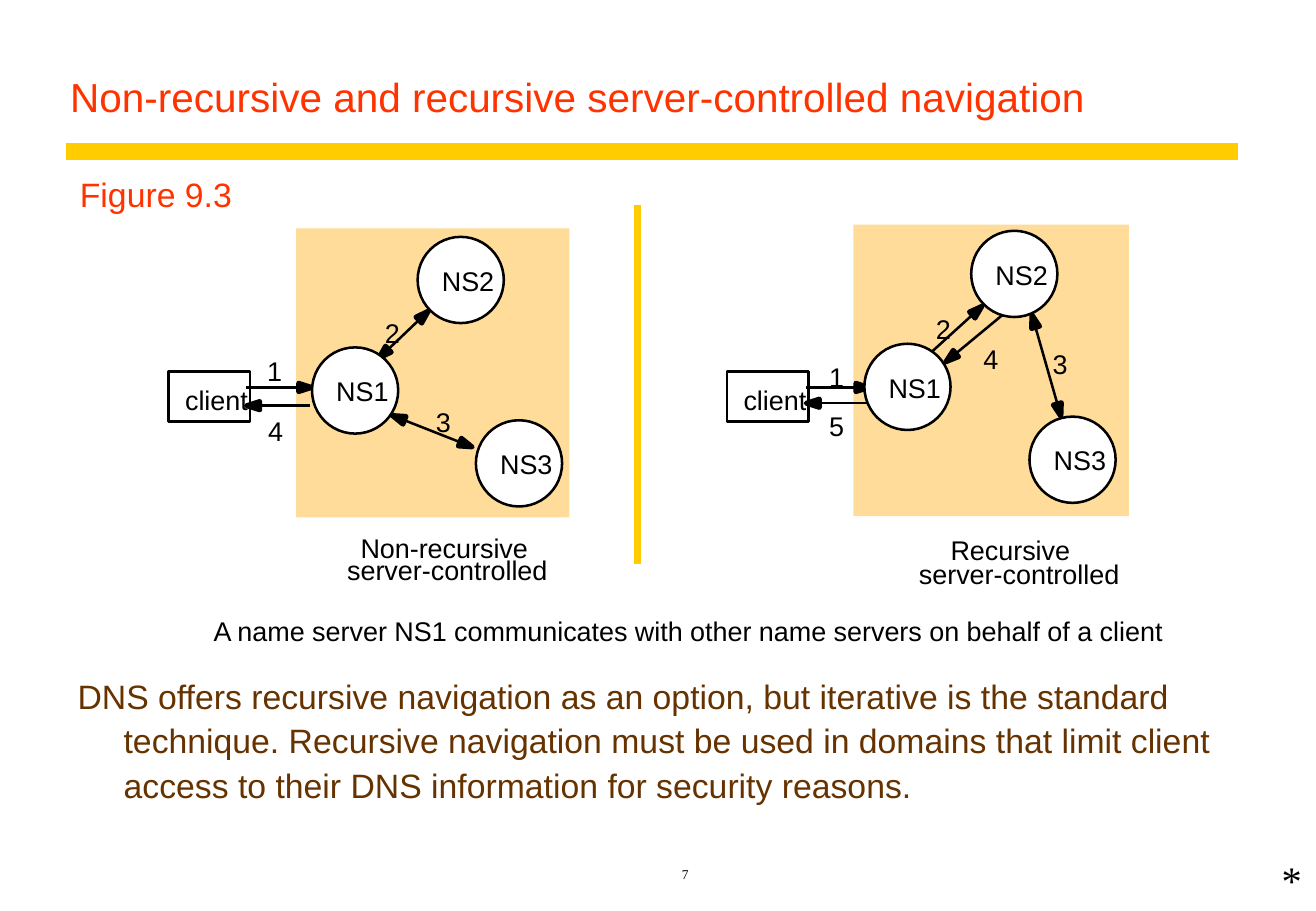
"""Build the slide on non-recursive and recursive server-controlled navigation."""
from dataclasses import dataclass
from math import hypot

from lxml import etree
from pptx import Presentation
from pptx.dml.color import RGBColor
from pptx.enum.shapes import MSO_CONNECTOR, MSO_SHAPE
from pptx.enum.text import MSO_ANCHOR, MSO_AUTO_SIZE, PP_ALIGN
from pptx.oxml.ns import qn
from pptx.util import Inches, Pt

RECT, OVAL = MSO_SHAPE.RECTANGLE, MSO_SHAPE.OVAL
STRAIGHT = MSO_CONNECTOR.STRAIGHT
TOP, BOTTOM = MSO_ANCHOR.TOP, MSO_ANCHOR.BOTTOM
LEFT, CENTER = PP_ALIGN.LEFT, PP_ALIGN.CENTER
GROW, FIXED = MSO_AUTO_SIZE.SHAPE_TO_FIT_TEXT, MSO_AUTO_SIZE.NONE

Point = tuple[float, float]
Box = tuple[float, float, float, float]


@dataclass(frozen=True)
class Theme:
    """Colours, fonts, type sizes and line widths."""
    sans: str = "Arial"
    serif: str = "Times New Roman"
    black: str = "000000"
    white: str = "FFFFFF"
    red: str = "FF3300"
    brown: str = "663300"
    gold: str = "FFCC00"
    sand: str = "FFDC99"
    title: float = 24
    body: float = 20
    label: float = 16
    number: float = 8
    bar: float = 10
    divider: float = 4.5
    outline: float = 1.5
    head: float = 2.86


@dataclass(frozen=True)
class Label:
    """Text with its left, top and width in grid cells."""
    text: str
    x: float
    y: float
    w: float = 1.3


@dataclass(frozen=True)
class Arrow:
    """Line between two points, pointed at its end and optionally at its start."""
    start: Point
    end: Point
    both: bool = False


@dataclass(frozen=True)
class Panel:
    """One navigation diagram."""
    area: Box
    client: Point
    nodes: dict[str, Point]
    arrows: list[Arrow]
    labels: list[Label]


T = Theme()
COLS, ROWS = 108.4, 75
NODE, LABEL_H = 7.1, 2.7
CLIENT_W, CLIENT_H = 6.7, 4.1
HEAD_LEN, HEAD_HALF = 1.1, 0.35

PANELS = [
    Panel(
        (24.4, 18.8, 22.5, 23.8), (13.9, 30.6),
        {"NS2": (34.4, 19.5), "NS1": (25.7, 28.6), "NS3": (39.2, 34.6)},
        [Arrow((20.3, 31.9), (25.7, 31.9)),
         Arrow((31.2, 29.5), (35.3, 25.6), both=True),
         Arrow((32.3, 34.2), (38.9, 36.8), both=True),
         Arrow((25.5, 33.4), (20.3, 33.4))],
        [Label("1", 22, 29.2), Label("2", 31.7, 26.1),
         Label("3", 35.9, 33.4), Label("4", 22.1, 34.1),
         Label("Non-recursive", 29.7, 43.8, 14),
         Label("server-controlled", 28.6, 45.6, 17)]),
    Panel(
        (70.3, 18.5, 22.7, 24), (59.9, 30.6),
        {"NS2": (80, 19), "NS1": (71.2, 28.3), "NS3": (84.8, 34.3)},
        [Arrow((66.4, 31.9), (71.6, 31.9)),
         Arrow((76.6, 29.1), (80.9, 25.2)),
         Arrow((85, 25.9), (87.4, 34.3), both=True),
         Arrow((83.1, 25.5), (77.9, 29.8)),
         Arrow((71.6, 33.2), (66.4, 33.2))],
        [Label("1", 68.3, 29.7), Label("2", 77.1, 25.7),
         Label("3", 86.7, 28.6), Label("4", 81, 28.2),
         Label("5", 68.3, 33.7),
         Label("Recursive", 78.3, 43.9, 10.1),
         Label("server-controlled", 75.7, 45.9, 17)]),
]

prs = Presentation()
prs.slide_width, prs.slide_height = Inches(10.84), Inches(7.5)
slide = prs.slides.add_slide(prs.slide_layouts[6])


def emu(*cells: float) -> list[int]:
    """Turn alternating column and row counts into lengths."""
    units = prs.slide_width / COLS, prs.slide_height / ROWS
    return [round(c * units[i % 2]) for i, c in enumerate(cells)]


def add_text(text: str, box: Box, *, size: float = T.label, font: str = T.sans,
             color: str = T.black, pad: bool = False, wrap: bool = False,
             anchor: MSO_ANCHOR = TOP, align: PP_ALIGN = LEFT,
             spacing: float = 1.0, hanging: float = 0) -> None:
    """Place one paragraph of text in a box."""
    tf = slide.shapes.add_textbox(*emu(*box)).text_frame
    tf.word_wrap, tf.vertical_anchor = wrap, anchor
    tf.auto_size = FIXED if wrap else GROW
    tf.margin_left = tf.margin_right = Inches(0.1 if pad else 0)
    tf.margin_top = tf.margin_bottom = Inches(0.05 if pad else 0)
    p = tf.paragraphs[0]
    p.alignment, p.line_spacing = align, spacing
    if hanging:
        indent = emu(hanging)[0]
        pPr = p._p.get_or_add_pPr()
        pPr.set("marL", str(indent))
        pPr.set("indent", str(-indent))
    r = p.add_run()
    r.text = text
    r.font.size, r.font.name = Pt(size), font
    r.font.color.rgb = RGBColor.from_string(color)


def paint(sp, fill: str | None, line: str | None, width: float = T.outline) -> None:
    """Set a shape's fill and outline and drop its shadow."""
    sp.shadow.inherit = False
    if fill:
        sp.fill.solid()
        sp.fill.fore_color.rgb = RGBColor.from_string(fill)
    else:
        sp.fill.background()
    if line:
        sp.line.color.rgb = RGBColor.from_string(line)
        sp.line.width = Pt(width)
    else:
        sp.line.fill.background()


def add_box(kind: MSO_SHAPE, box: Box, fill: str | None, line: str | None) -> None:
    """Draw a preset shape."""
    paint(slide.shapes.add_shape(kind, *emu(*box)), fill, line)


def add_line(start: Point, end: Point, color: str, width: float) -> None:
    """Draw a straight line."""
    cx = slide.shapes.add_connector(STRAIGHT, *emu(*start, *end))
    cx.line.color.rgb = RGBColor.from_string(color)
    cx.line.width = Pt(width)
    etree.SubElement(cx._element.spPr, qn("a:effectLst"))


def add_head(tip: Point, tail: Point) -> Point:
    """Draw an arrowhead at the tip and return the middle of its base."""
    dx, dy = tip[0] - tail[0], tip[1] - tail[1]
    n = hypot(dx, dy)
    ux, uy = dx / n, dy / n
    bx, by = tip[0] - HEAD_LEN * ux, tip[1] - HEAD_LEN * uy
    sides = [(bx - s * HEAD_HALF * uy, by + s * HEAD_HALF * ux) for s in (1, -1)]
    builder = slide.shapes.build_freeform(*emu(*tip))
    builder.add_line_segments([tuple(emu(*side)) for side in sides])
    paint(builder.convert_to_shape(), T.black, T.black, T.head)
    return bx, by


def add_arrow(arrow: Arrow) -> None:
    """Draw an arrow with its heads."""
    end = add_head(arrow.end, arrow.start)
    start = add_head(arrow.start, arrow.end) if arrow.both else arrow.start
    add_line(start, end, T.black, T.outline)


def add_panel(panel: Panel) -> None:
    """Draw one diagram with its client, servers, arrows and labels."""
    add_box(RECT, panel.area, T.sand, None)
    for arrow in panel.arrows:
        add_arrow(arrow)
    for label in panel.labels:
        add_text(label.text, (label.x, label.y, label.w, LABEL_H))
    x, y = panel.client
    add_box(RECT, (x, y, CLIENT_W, CLIENT_H), None, T.black)
    add_text("client", (x + 1.35, y + 0.95, 5.4, LABEL_H))
    for name, (x, y) in panel.nodes.items():
        add_box(OVAL, (x, y, NODE, NODE), T.white, T.black)
        add_text(name, (x + 2, y + 2.25, 4.7, LABEL_H))


def main() -> None:
    """Draw the slide and save it."""
    add_line((5.4, 12.5), (102, 12.5), T.gold, T.bar)
    add_text("7", (23.5, 70, 65.9, 3.1), size=T.number, font=T.serif, pad=True,
             wrap=True, anchor=BOTTOM, align=CENTER)
    add_text("Non-recursive and recursive server-controlled navigation",
             (4.8, 2.5, 97.2, 8), size=T.title, color=T.red, pad=True, wrap=True,
             anchor=BOTTOM, spacing=0.9)
    add_text("A name server NS1 communicates with other name servers on behalf of a client",
             (17.6, 50.6, 78.6, LABEL_H))
    for panel in PANELS:
        add_panel(panel)
    add_text("Figure 9.3", (5.6, 13.8, 14.5, 4.4), size=T.body, color=T.red, pad=True)
    add_line((52.5, 16.9), (52.5, 46.4), T.gold, T.divider)
    add_text("DNS offers recursive navigation as an option, but iterative is the standard "
             "technique. Recursive navigation must be used in domains that limit client "
             "access to their DNS information for security reasons.",
             (5.4, 54.8, 96.9, 13.5), size=T.body, color=T.brown, pad=True,
             wrap=True, spacing=1.1, hanging=3.8)
    add_text("*", (104.6, 69.9, 3.6, 5), size=T.title, font=T.serif, pad=True)
    prs.save("out.pptx")


if __name__ == "__main__":
    main()
